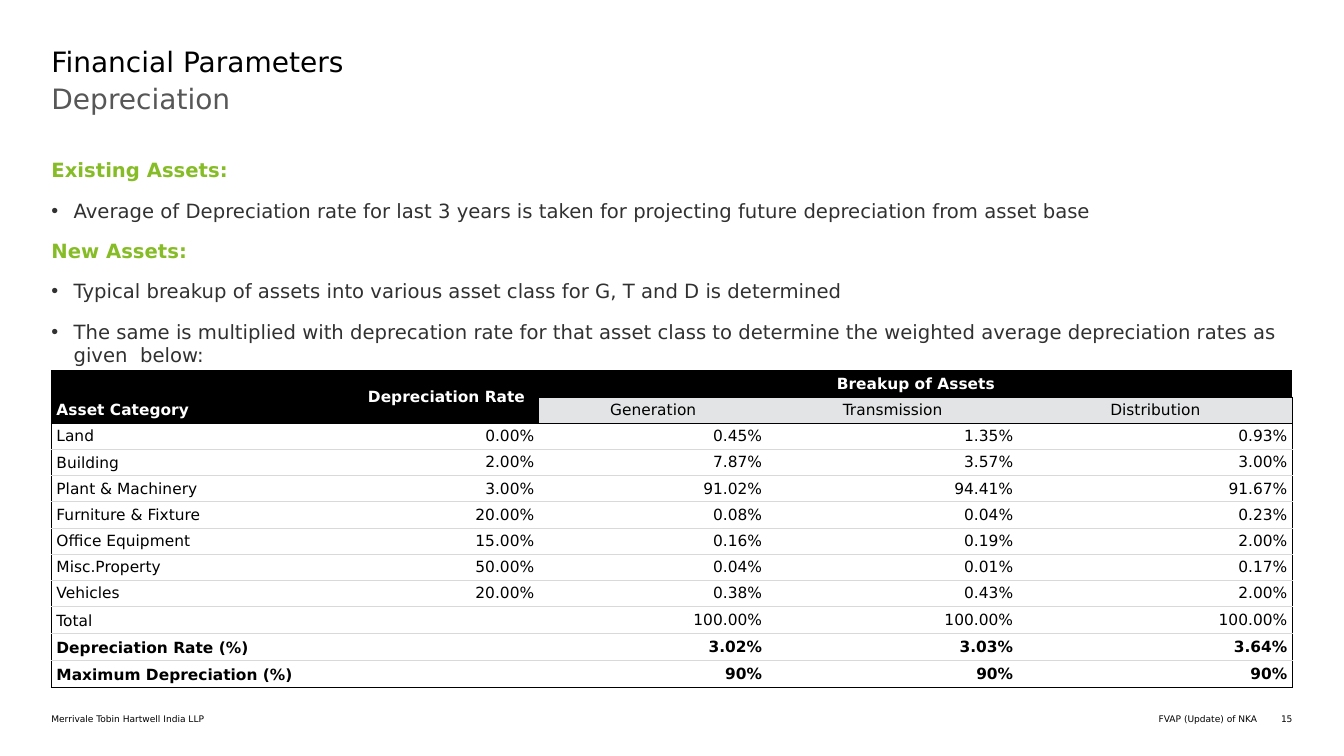
from lxml import etree
from pptx import Presentation
from pptx.dml.color import RGBColor
from pptx.enum.text import MSO_ANCHOR as Anchor, MSO_AUTO_SIZE as AutoSize, PP_ALIGN as Align
from pptx.oxml.ns import qn
from pptx.util import Inches, Pt

FONT = "DejaVu Sans"
BLACK, WHITE, GREEN = "000000", "FFFFFF", "86BC25"
DARK, GREY, PALE, RULE = "313131", "575757", "E3E4E5", "D9D9D9"
LEFT, WIDTH = 0.51, 12.31
NO_STYLE = "{2D5ABB26-0587-4C30-8999-92F81FD0307C}"

TITLE, SUBTITLE = "Financial Parameters", "Depreciation"
NOTES = [
    ("Existing Assets:", [
        "Average of Depreciation rate for last 3 years is taken for projecting "
        "future depreciation from asset base",
    ]),
    ("New Assets:", [
        "Typical breakup of assets into various asset class for G, T and D is determined",
        "The same is multiplied with deprecation rate for that asset class to determine "
        "the weighted average depreciation rates as given  below:",
    ]),
]
TABLE = [
    ("Asset Category", "Depreciation Rate", "Breakup of Assets", "", ""),
    ("", "", "Generation", "Transmission", "Distribution"),
    ("Land", "0.00%", "0.45%", "1.35%", "0.93%"),
    ("Building", "2.00%", "7.87%", "3.57%", "3.00%"),
    ("Plant & Machinery", "3.00%", "91.02%", "94.41%", "91.67%"),
    ("Furniture & Fixture", "20.00%", "0.08%", "0.04%", "0.23%"),
    ("Office Equipment", "15.00%", "0.16%", "0.19%", "2.00%"),
    ("Misc.Property", "50.00%", "0.04%", "0.01%", "0.17%"),
    ("Vehicles", "20.00%", "0.38%", "0.43%", "2.00%"),
    ("Total", "", "100.00%", "100.00%", "100.00%"),
    ("Depreciation Rate (%)", "", "3.02%", "3.03%", "3.64%"),
    ("Maximum Depreciation (%)", "", "90%", "90%", "90%"),
]
COL_WIDTHS = [3, 1.84, 2.26, 2.49, 2.72]
ROW_HEIGHT = 0.26
HEADER_ROWS, SUMMARY_ROWS = 2, 2
MERGES = [(0, 0, 1, 0), (0, 1, 1, 1), (0, 2, 0, 4)]
FOOTERS = [  # left, width, alignment, text
    (LEFT, 5.86, Align.LEFT, "Merrivale Tobin Hartwell India LLP"),
    (7.12, 5.35, Align.RIGHT, "FVAP (Update) of NKA"),
    (12.48, 0.34, Align.RIGHT, "15"),
]


def rgb(color):
    return RGBColor.from_string(color)


def add_run(p, text, size, color, bold=False):
    r = p.add_run()
    r.text = text
    r.font.name, r.font.size, r.font.bold = FONT, Pt(size), bold
    r.font.color.rgb = rgb(color)


def place(sp, left, top, width, height):
    """Move a shape and give its text frame zero margins and top anchoring."""
    sp.left, sp.top, sp.width, sp.height = map(Inches, (left, top, width, height))
    tf = sp.text_frame
    tf.margin_left = tf.margin_right = tf.margin_top = tf.margin_bottom = 0
    tf.word_wrap, tf.auto_size = True, AutoSize.NONE
    tf.vertical_anchor = Anchor.TOP
    return tf


def set_bullet(p, char=None):
    pPr = p._p.get_or_add_pPr()
    indent = Inches(0.22) if char else 0
    pPr.set("marL", str(indent))
    pPr.set("indent", str(-indent))
    if char:
        etree.SubElement(pPr, qn("a:buFont"), typeface="Arial")
        etree.SubElement(pPr, qn("a:buChar"), char=char)
    else:
        etree.SubElement(pPr, qn("a:buNone"))
    p.space_before = Pt(0)


def add_border(cell, side, color, width):
    ln = etree.SubElement(cell._tc.get_or_add_tcPr(), qn(f"a:ln{side}"), w=str(Pt(width)))
    fill = etree.SubElement(ln, qn("a:solidFill"))
    etree.SubElement(fill, qn("a:srgbClr"), val=color)


def format_cell(cell, row, col, text):
    last_row, last_col = len(TABLE) - 1, len(COL_WIDTHS) - 1
    if col == 0:
        add_border(cell, "L", BLACK, 1)
    if col == last_col:
        add_border(cell, "R", BLACK, 1)
    for side, strong in (("T", row <= HEADER_ROWS),
                         ("B", row < HEADER_ROWS or row == last_row)):
        add_border(cell, side, *((BLACK, 1) if strong else (RULE, 0.75)))

    header = row < HEADER_ROWS
    dark = row == 0 or (header and col < 2)
    cell.fill.solid()
    cell.fill.fore_color.rgb = rgb(BLACK if dark else PALE if header else WHITE)
    cell.margin_left = cell.margin_right = Inches(0.05)
    cell.margin_top = cell.margin_bottom = Inches(0.04)
    cell.vertical_anchor = Anchor.BOTTOM if col == 0 else Anchor.MIDDLE
    p = cell.text_frame.paragraphs[0]
    p.alignment = Align.LEFT if col == 0 else Align.CENTER if header else Align.RIGHT
    if text:
        bold = dark or row >= len(TABLE) - SUMMARY_ROWS
        add_run(p, text, 11, WHITE if dark else BLACK, bold)
    else:  # keeps an empty cell from stretching its row
        etree.SubElement(p._p, qn("a:endParaRPr"), sz="1100")


def add_asset_table(slide):
    frame = slide.shapes.add_table(len(TABLE), len(COL_WIDTHS), Inches(LEFT), Inches(3.68),
                                   Inches(WIDTH), Inches(ROW_HEIGHT * len(TABLE)))
    table = frame.table
    table.first_row = table.horz_banding = False
    table._tbl.tblPr.find(qn("a:tableStyleId")).text = NO_STYLE
    for column, width in zip(table.columns, COL_WIDTHS):
        column.width = Inches(width)
    for row, values in enumerate(TABLE):
        table.rows[row].height = Inches(ROW_HEIGHT)
        for col, text in enumerate(values):
            format_cell(table.cell(row, col), row, col, text)
    for top, left, bottom, right in MERGES:
        table.cell(top, left).merge(table.cell(bottom, right))


def main():
    prs = Presentation()
    prs.slide_width, prs.slide_height = Inches(13.33), Inches(7.5)
    slide = prs.slides.add_slide(prs.slide_layouts[3])
    title, subtitle, notes = slide.placeholders

    p = place(title, LEFT, 0.44, WIDTH, 0.37).paragraphs[0]
    p.alignment = Align.LEFT
    add_run(p, TITLE, 20, BLACK)

    p = place(subtitle, LEFT, 0.81, WIDTH, 0.6).paragraphs[0]
    set_bullet(p)
    add_run(p, SUBTITLE, 20, GREY)

    tf = place(notes, LEFT, 1.57, WIDTH, 2.06)
    p = tf.paragraphs[0]
    for i, (heading, points) in enumerate(NOTES):
        if i:
            p = tf.add_paragraph()
        set_bullet(p)
        p.space_after = Pt(12)
        add_run(p, heading, 14, GREEN, bold=True)
        for point in points:
            p = tf.add_paragraph()
            set_bullet(p, "•")
            p.space_after = Pt(12)
            add_run(p, point, 14, DARK)

    add_asset_table(slide)

    for left, width, align, text in FOOTERS:
        p = place(slide.shapes.add_textbox(0, 0, 0, 0), left, 7.08, width, 0.11).paragraphs[0]
        p.alignment = align
        add_run(p, text, 6.5, BLACK)

    prs.save("out.pptx")


if __name__ == "__main__":
    main()
